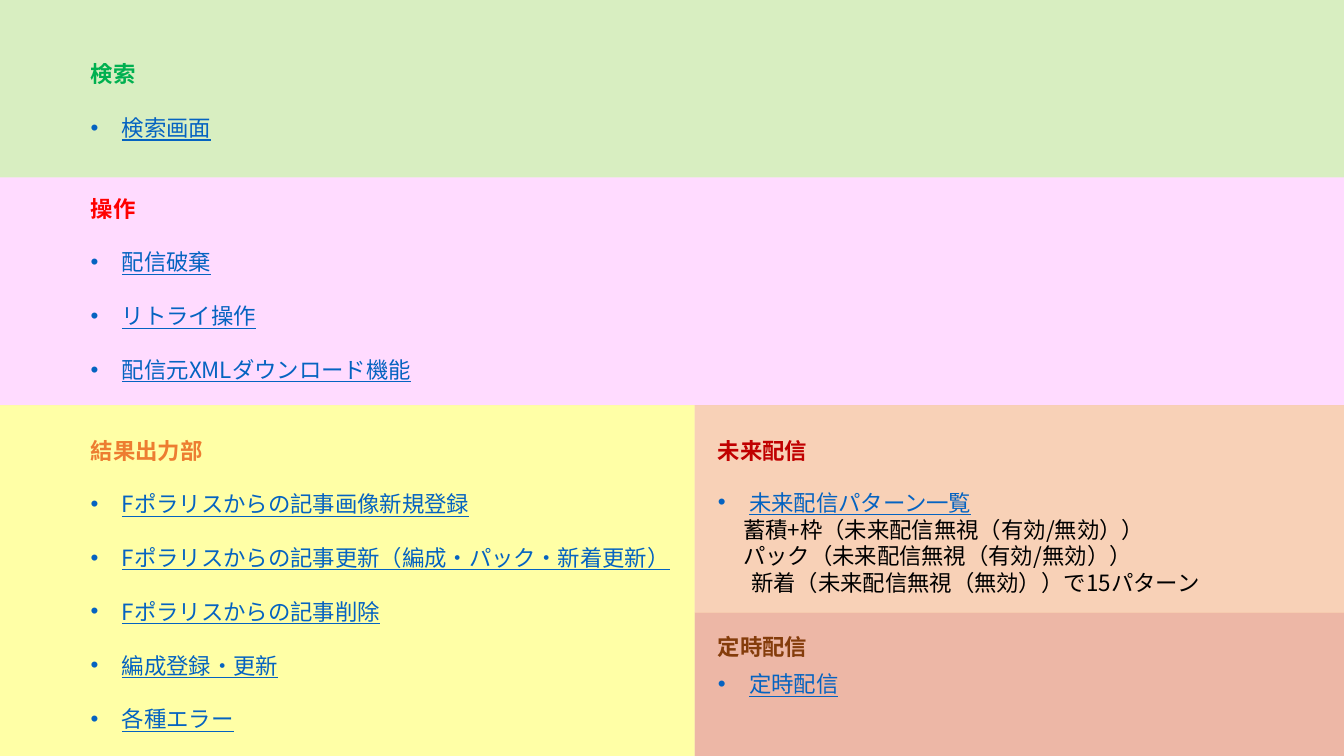
from dataclasses import dataclass

from lxml.etree import SubElement as Sub
from pptx import Presentation
from pptx.dml.color import RGBColor as RGB
from pptx.enum.shapes import MSO_SHAPE as Geo
from pptx.enum.text import MSO_ANCHOR as Anchor, MSO_AUTO_SIZE as Auto, PP_ALIGN as Align
from pptx.oxml.ns import qn
from pptx.slide import Slide
from pptx.util import Inches, Pt


@dataclass(frozen=True)
class Theme:
    font: str = "Noto Sans CJK JP"
    size: float = 16
    pitch: float = 19.2
    alpha: int = 35000
    link: str = "0563C1"
    text: str = "000000"
    find: str = "00B050"
    act: str = "FF0000"
    result: str = "ED7D31"
    future: str = "C00000"
    timed: str = "843C0B"


@dataclass(frozen=True)
class Band:
    left: float
    top: float
    width: float
    height: float
    color: str


@dataclass(frozen=True)
class Line:
    text: str
    color: str
    gap: int = 0  # lines of space before
    bold: bool = False
    link: bool = False
    indent: float = 0


@dataclass(frozen=True)
class Box:
    idx: int
    left: float
    top: float
    width: float
    height: float
    lines: list[Line]
    wrap: bool = True


THEME = Theme()
WIDTH, HEIGHT = 13.33, 7.5
SPLIT, ROW1, ROW2, ROW3 = 6.89, 1.76, 4.02, 6.08
LEFT, RIGHT, WIDE = 0.8, 7.02, 6.52
HANG = 0.31


def head(text: str, color: str, gap: int = 0) -> Line:
    return Line(text, color, gap, bold=True)


def link(text: str, gap: int = 0) -> Line:
    return Line(text, THEME.link, gap, link=True, indent=HANG)


def note(text: str, indent: float) -> Line:
    return Line(text, THEME.text, indent=indent)


def group(title: str, color: str, items: list[str], gap: int = 0) -> list[Line]:
    return [head(title, color, gap)] + [link(item, 1) for item in items]


BANDS = [
    Band(SPLIT, ROW3, WIDTH - SPLIT, HEIGHT - ROW3, "CC3300"),
    Band(0, ROW2, SPLIT, HEIGHT - ROW2, "FFFF00"),
    Band(0, ROW1, WIDTH, ROW2 - ROW1, "FF99FF"),
    Band(SPLIT, ROW2, WIDTH - SPLIT, ROW3 - ROW2, "ED7D31"),
    Band(0, 0, WIDTH, ROW1, "92D050"),
]

MAIN = (
    group("検索", THEME.find, ["検索画面"])
    + group("操作", THEME.act,
            ["配信破棄", "リトライ操作", "配信元XMLダウンロード機能"], 2)
    + group("結果出力部", THEME.result, [
        "Fポラリスからの記事画像新規登録",
        "Fポラリスからの記事更新（編成・パック・新着更新）",
        "Fポラリスからの記事削除",
        "編成登録・更新",
        "各種エラー",
    ], 2)
)
FUTURE = [
    link("未来配信パターン一覧"),
    note("蓄積+枠（未来配信無視（有効/無効））", 0.25),
    note("パック（未来配信無視（有効/無効））", 0.25),
    note("新着（未来配信無視（無効））で15パターン", 0.33),
]

BOXES = [
    Box(2, LEFT, 0.55, WIDE, 6.83, MAIN),
    Box(4, RIGHT, 4.8, WIDE - 0.21, 1.28, FUTURE),
    Box(3, RIGHT, 6.6, WIDE - 0.21, 0.64, [link("定時配信")]),
    Box(0, RIGHT, 4.29, 1.1, 0.37, [head("未来配信", THEME.future)], False),
    Box(1, RIGHT, 6.23, 1.1, 0.37, [head("定時配信", THEME.timed)], False),
]


def apply(target: object, values: dict) -> None:
    for name, value in values.items():
        setattr(target, name, value)


def place(item: Band | Box) -> dict:
    return {name: Inches(getattr(item, name))
            for name in ("left", "top", "width", "height")}


def add_band(slide: Slide, band: Band, order: int) -> None:
    """Draw a translucent band behind the placeholders."""
    shape = slide.shapes.add_shape(Geo.RECTANGLE, **place(band))
    shape.shadow.inherit = False
    shape.line.fill.background()
    shape.fill.solid()
    shape.fill.fore_color.rgb = RGB.from_string(band.color)
    tint = shape.element.spPr.find(qn("a:solidFill"))[0]
    Sub(tint, qn("a:alpha"), val=str(THEME.alpha))
    shape.element.getparent().insert(2 + order, shape.element)


def add_line(para: object, line: Line) -> None:
    props = para._p.get_or_add_pPr()
    props.set("marL", str(Inches(line.indent)))
    props.set("indent", str(Inches(-HANG if line.link else 0)))
    if line.link:
        Sub(props, qn("a:buFont"), typeface="Arial")
        Sub(props, qn("a:buChar"), char="•")
    else:
        Sub(props, qn("a:buNone"))
    apply(para, {
        "alignment": Align.LEFT,
        "line_spacing": Pt(THEME.pitch),
        "space_before": Pt(line.gap * THEME.pitch),
        "space_after": Pt(0),
    })
    run = para.add_run()
    run.text = line.text
    apply(run.font, {
        "name": THEME.font,
        "size": Pt(THEME.size),
        "bold": line.bold,
        "underline": line.link,
    })
    run.font.color.rgb = RGB.from_string(line.color)
    Sub(run.font._element, qn("a:ea"), typeface=THEME.font)


def fill_box(slide: Slide, box: Box) -> None:
    holder = next(item for item in slide.placeholders
                  if item.placeholder_format.idx == box.idx)
    apply(holder, place(box))
    frame = holder.text_frame
    apply(frame, {
        "auto_size": Auto.NONE,
        "word_wrap": box.wrap,
        "vertical_anchor": Anchor.TOP,
        "margin_left": Inches(0.1),
        "margin_right": Inches(0.1),
        "margin_top": Inches(0.05),
        "margin_bottom": Inches(0.05),
    })
    for num, line in enumerate(box.lines):
        add_line(frame.add_paragraph() if num else frame.paragraphs[0], line)


def main() -> None:
    deck = Presentation()
    apply(deck, {"slide_width": Inches(WIDTH), "slide_height": Inches(HEIGHT)})
    slide = deck.slides.add_slide(deck.slide_layouts.get_by_name("Comparison"))
    for order, band in enumerate(BANDS):
        add_band(slide, band, order)
    for box in BOXES:
        fill_box(slide, box)
    deck.save("out.pptx")


if __name__ == "__main__":
    main()
